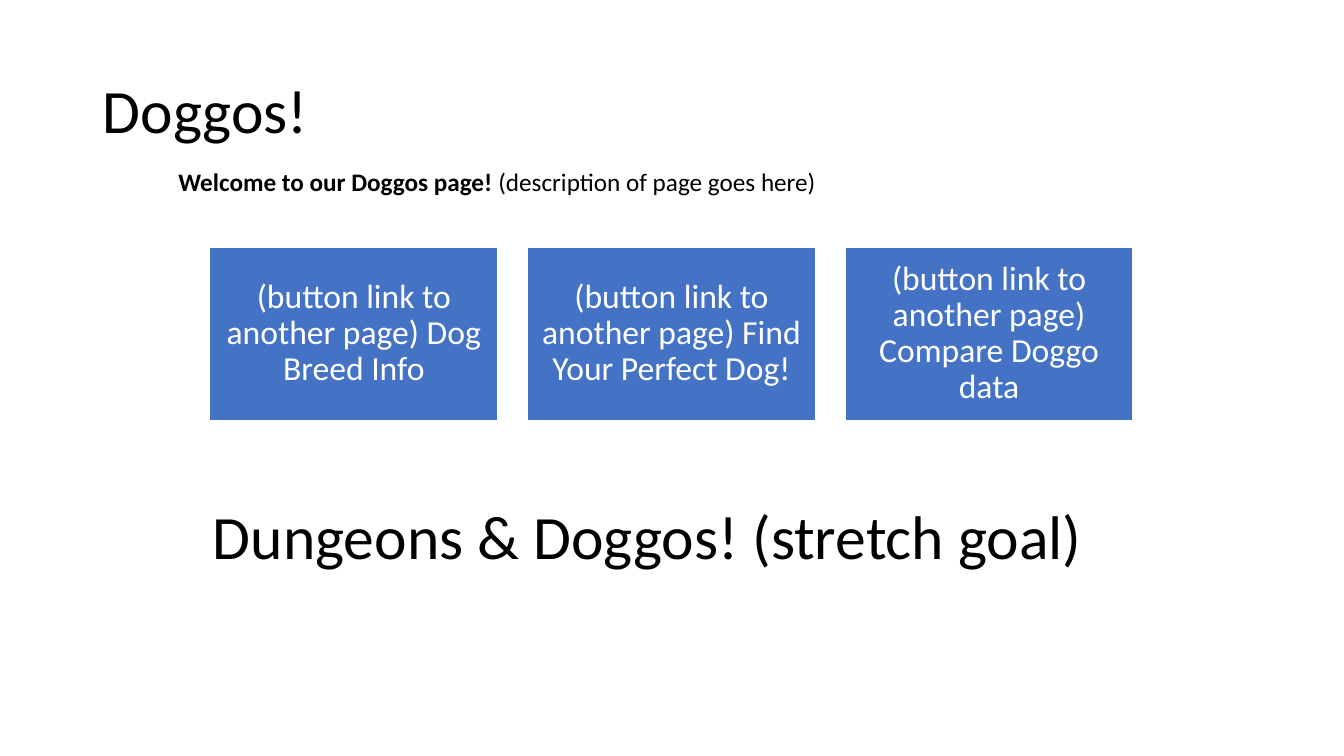
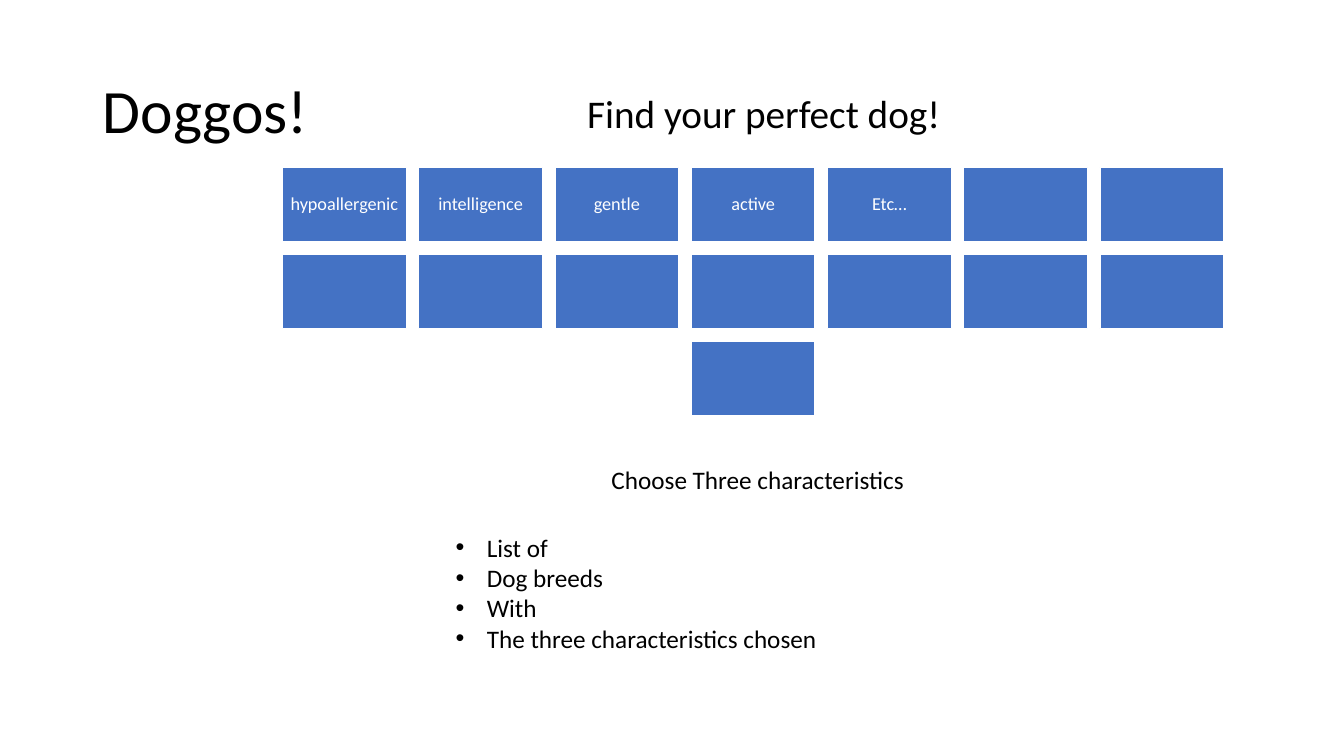
from lxml import etree
from pptx import Presentation
from pptx.dml.color import RGBColor
from pptx.enum.shapes import MSO_SHAPE
from pptx.enum.text import MSO_ANCHOR, PP_ALIGN
from pptx.oxml.ns import qn
from pptx.util import Inches, Pt

# Content: a paragraph is a list of (text, bold) runs
SITE_TITLE = "Doggos!"
WELCOME = [("Welcome to our Doggos page! ", True),
           ("(description of page goes here)", False)]
PAGE_LINKS = ["(button link to another page) Dog Breed Info",
              "(button link to another page) Find Your Perfect Dog!",
              "(button link to another page) Compare Doggo data"]
STRETCH_GOAL = "Dungeons & Doggos! (stretch goal)"
FINDER_HEADING = "Find your perfect dog!"
TRAITS = ["hypoallergenic", "intelligence", "gentle", "active", "Etc…"]
TRAIT_SLOTS = 15
CHOOSE_PROMPT = "Choose Three characteristics"
BREED_LIST = ["List of", "Dog breeds", "With", "The three characteristics chosen"]

# Shared style
BLACK = RGBColor(0x00, 0x00, 0x00)
WHITE = RGBColor(0xFF, 0xFF, 0xFF)
BLUE = RGBColor(0x44, 0x72, 0xC4)
FONT = "Calibri"
TITLE_SIZE, HEADING_SIZE, BODY_SIZE = 44, 28, 18
TIGHT = 0.9
BULLET_INDENT = 0.31
LEFT, CENTER = PP_ALIGN.LEFT, PP_ALIGN.CENTER
TOP, MIDDLE = MSO_ANCHOR.TOP, MSO_ANCHOR.MIDDLE
RECTANGLE = MSO_SHAPE.RECTANGLE

prs = Presentation()
prs.slide_width, prs.slide_height = Inches(13.33), Inches(7.5)
BLANK = prs.slide_layouts[6]


def write(frame, paragraphs, size, color=BLACK, align=LEFT, anchor=TOP, spacing=None):
    frame.word_wrap = True
    frame.vertical_anchor = anchor
    for i, runs in enumerate(paragraphs):
        para = frame.paragraphs[0] if i == 0 else frame.add_paragraph()
        para.alignment = align
        if spacing:
            para.line_spacing = spacing
        for text, bold in runs:
            run = para.add_run()
            run.text = text
            run.font.name, run.font.size, run.font.bold = FONT, Pt(size), bold
            run.font.color.rgb = color


def plain(*lines):
    return [[(line, False)] for line in lines]


def add_text(slide, box, paragraphs, size, **style):
    frame = slide.shapes.add_textbox(*map(Inches, box)).text_frame
    write(frame, paragraphs, size, **style)
    return frame


def add_bullets(frame):
    for para in frame.paragraphs:
        props = para._p.get_or_add_pPr()
        props.set("marL", str(Inches(BULLET_INDENT)))
        props.set("indent", str(-Inches(BULLET_INDENT)))
        etree.SubElement(props, qn("a:buFont")).set("typeface", "Arial")
        etree.SubElement(props, qn("a:buChar")).set("char", "•")


def add_tiles(slide, labels, area, tile, columns, size, inset):
    """Fill rows of equal tiles across the area; centre a short last row."""
    left, top, width = area
    tile_w, tile_h = tile
    gap = (width - columns * tile_w) / (columns - 1)
    for start in range(0, len(labels), columns):
        row = labels[start:start + columns]
        row_width = len(row) * (tile_w + gap) - gap
        x = left + (width - row_width) / 2
        y = top + start // columns * (tile_h + gap)
        for column, label in enumerate(row):
            button = slide.shapes.add_shape(
                RECTANGLE, Inches(x + column * (tile_w + gap)), Inches(y),
                Inches(tile_w), Inches(tile_h))
            button.shadow.inherit = False
            button.fill.solid()
            button.fill.fore_color.rgb = BLUE
            button.line.color.rgb = WHITE
            button.line.width = Pt(1)
            if label:
                frame = button.text_frame
                frame.margin_left = frame.margin_right = Inches(inset)
                frame.margin_top = frame.margin_bottom = Inches(inset)
                write(frame, plain(label), size, WHITE, CENTER, MIDDLE, TIGHT)


def new_page(title_width):
    slide = prs.slides.add_slide(BLANK)
    add_text(slide, (0.92, 0.4, title_width, 1.45), plain(SITE_TITLE), TITLE_SIZE,
             anchor=MIDDLE, spacing=TIGHT)
    return slide


# Home page
home = new_page(11.5)
add_tiles(home, PAGE_LINKS, (2.08, 2.45, 9.16), (2.86, 1.72), 3, 24, 0.1)
add_text(home, (1.67, 1.6, 10.75, 0.4), [WELCOME], BODY_SIZE)
add_text(home, (1.05, 4.89, 10.75, 0.84), plain(STRETCH_GOAL), TITLE_SIZE, align=CENTER)

# Dog finder page
finder = new_page(2.42)
add_text(finder, (3.61, 0.84, 7.93, 0.57), plain(FINDER_HEADING), HEADING_SIZE, align=CENTER)
trait_labels = TRAITS + [""] * (TRAIT_SLOTS - len(TRAITS))
add_tiles(finder, trait_labels, (2.8, 1.66, 9.34), (1.23, 0.74), 7, 13, 0.05)
add_text(finder, (3.49, 4.56, 8.05, 0.4), plain(CHOOSE_PROMPT), BODY_SIZE, align=CENTER)
add_bullets(add_text(finder, (4.42, 5.23, 6.12, 1.31), plain(*BREED_LIST), BODY_SIZE))

prs.save("out.pptx")
